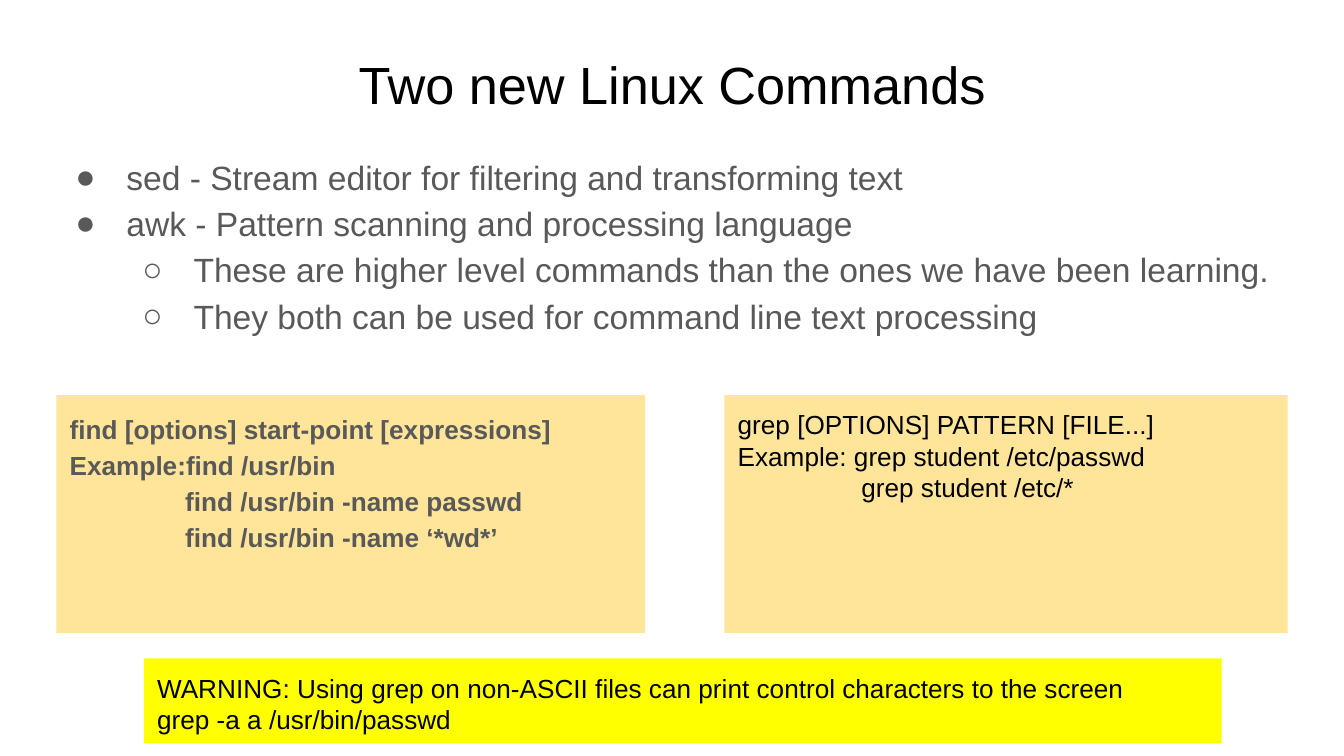
from lxml import etree
from pptx import Presentation
from pptx import util as u
from pptx.dml.color import RGBColor
from pptx.enum import shapes, text
from pptx.oxml.ns import qn

FONT = "Arial"
BLACK, GREY, SAND, YELLOW = "000000", "595959", "FFE599", "FFFF00"
BULLETS = "●○"


def color(value):
    return RGBColor.from_string(value)


def place(shape, left, top, width, height):
    shape.left, shape.top = u.Inches(left), u.Inches(top)
    shape.width, shape.height = u.Inches(width), u.Inches(height)


def write(shape, lines, size, ink, bold=False, align=text.PP_ALIGN.LEFT, spacing=1.0):
    """Fill the shape with one paragraph per line and return the paragraphs."""
    frame = shape.text_frame
    frame.text = "\n".join(lines)
    frame.word_wrap = True
    frame.auto_size = text.MSO_AUTO_SIZE.NONE
    frame.vertical_anchor = text.MSO_ANCHOR.TOP
    frame.margin_left = frame.margin_right = u.Inches(0.1)
    frame.margin_top = frame.margin_bottom = u.Inches(0.1)
    for para in frame.paragraphs:
        para.alignment = align
        para.line_spacing = spacing
        para.space_before = para.space_after = u.Pt(0)
        for span in para.runs:
            span.font.name = FONT
            span.font.size = u.Pt(size)
            span.font.bold = bold
            span.font.color.rgb = color(ink)
    return frame.paragraphs


def indent(para, left, first=0):
    props = para._p.get_or_add_pPr()
    props.set("marL", str(u.Inches(left)))
    props.set("indent", str(u.Inches(first)))
    return props


def add_title(page, title):
    place(page.shapes.title, 0.34, 0.29, 9.32, 0.63)
    write(page.shapes.title, [title], 28, BLACK, align=text.PP_ALIGN.CENTER)


def add_bullets(page, items):
    """Fill the body placeholder from (level, text) pairs."""
    body = page.placeholders[1]
    place(body, 0.34, 1.02, 9.32, 1.83)
    paras = write(body, [item for _, item in items], 18, GREY, spacing=1.15)
    for para, (level, _) in zip(paras, items):
        para.level = level
        props = indent(para, 0.5 * (level + 1), -0.38)
        tint = etree.SubElement(props, qn("a:buClr"))
        etree.SubElement(tint, qn("a:srgbClr"), val=GREY)
        etree.SubElement(props, qn("a:buFont"), typeface=FONT)
        etree.SubElement(props, qn("a:buChar"), char=BULLETS[level])


def add_panel(page, bounds, fill, lines, ink=BLACK, hang=0, **style):
    """Draw a filled box; lines after the second are indented by hang inches."""
    box = page.shapes.add_shape(shapes.MSO_SHAPE.RECTANGLE, *map(u.Inches, bounds))
    box.shadow.inherit = False
    box.fill.solid()
    box.fill.fore_color.rgb = color(fill)
    box.line.fill.background()
    for para in write(box, lines, 14, ink, **style)[2:]:
        indent(para, hang)


def main():
    deck = Presentation()
    deck.slide_width = u.Inches(10)
    deck.slide_height = deck.slide_width * 9 // 16
    page = deck.slides.add_slide(deck.slide_layouts[1])

    add_title(page, "Two new Linux Commands")
    add_bullets(page, [
        (0, "sed - Stream editor for filtering and transforming text"),
        (0, "awk - Pattern scanning and processing language"),
        (1, "These are higher level commands than the ones we have been learning."),
        (1, "They both can be used for command line text processing"),
    ])
    add_panel(page, (0.42, 2.94, 4.38, 1.77), SAND, [
        "find [options] start-point [expressions]",
        "Example:find /usr/bin",
        "find /usr/bin -name passwd",
        "find /usr/bin -name ‘*wd*’",
    ], ink=GREY, hang=0.86, bold=True, spacing=1.15)
    add_panel(page, (5.39, 2.94, 4.19, 1.77), SAND, [
        "grep [OPTIONS] PATTERN [FILE...]",
        "Example: grep student /etc/passwd",
        "grep student /etc/*",
    ], hang=0.92)
    add_panel(page, (1.07, 4.9, 8.02, 0.63), YELLOW, [
        "WARNING: Using grep on non-ASCII files can print control characters to the screen",
        "grep -a a /usr/bin/passwd",
    ])
    deck.save("out.pptx")


if __name__ == "__main__":
    main()
